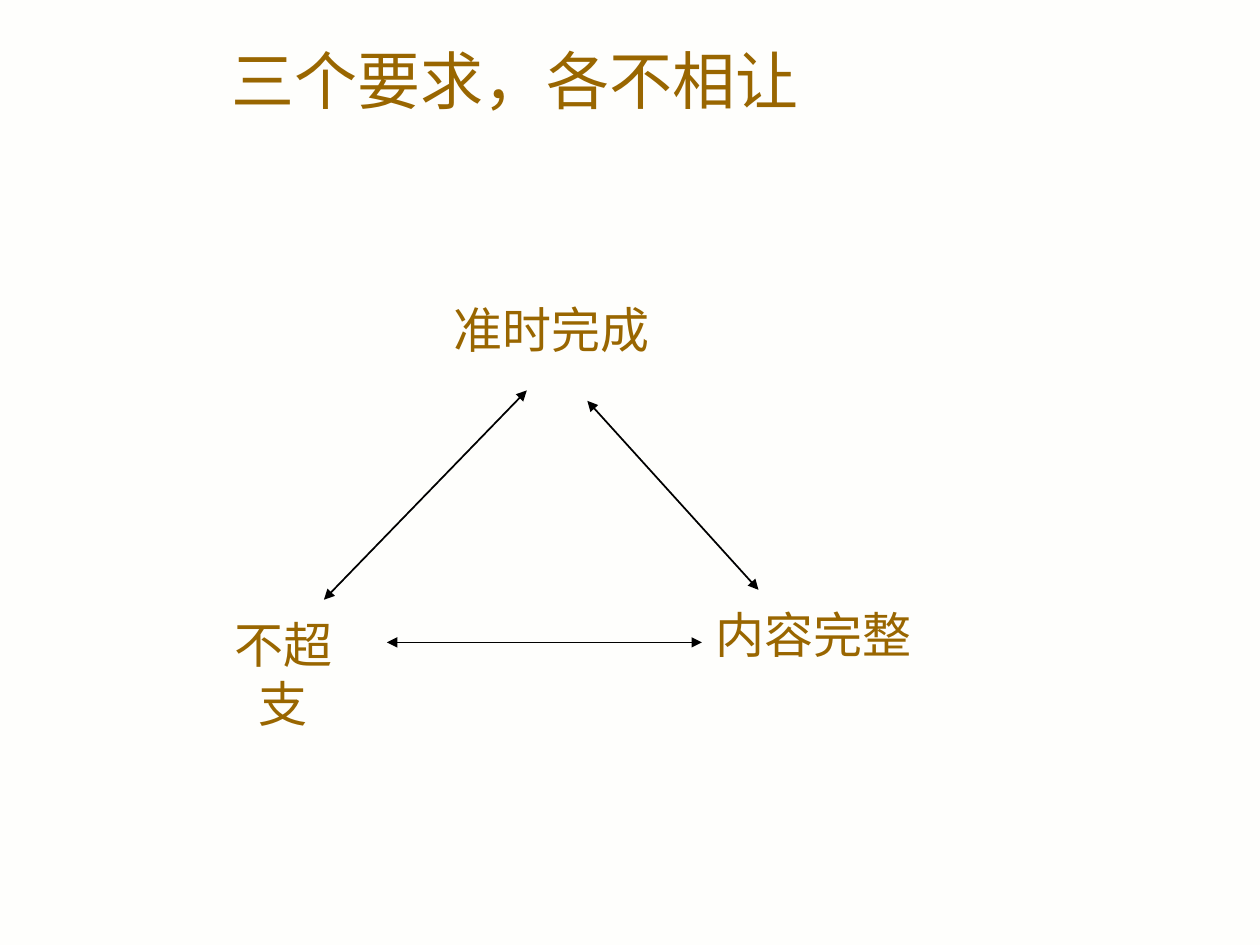
from lxml import etree
from pptx import Presentation
from pptx import util as u
from pptx.dml.color import RGBColor
from pptx.enum import shapes, text
from pptx.oxml.ns import qn


def paint(color_format, value):
    color_format.rgb = RGBColor.from_string(value)


def write(shape, words, size):
    frame = shape.text_frame
    frame.text = words
    para = frame.paragraphs[0]
    para.alignment = text.PP_ALIGN.CENTER
    span = para.runs[0]
    span.font.size = u.Pt(size)
    span.font.name = "Times New Roman"
    paint(span.font.color, "996600")


deck = Presentation()
deck.slide_width, deck.slide_height = u.Cm(25.4), u.Cm(19.05)
page = deck.slides.add_slide(deck.slide_layouts[5])
page.background.fill.solid()
paint(page.background.fill.fore_color, "FEFEFC")

# Title
title = page.shapes.title
title.left, title.top = u.Cm(0), u.Cm(0)
title.width, title.height = u.Cm(20.75), u.Cm(3.18)
write(title, "三个要求，各不相让", 36)
title.text_frame.vertical_anchor = text.MSO_ANCHOR.MIDDLE

# Three requirements at the corners of the triangle
requirements = [
    ("准时完成", 8.89, 5.92, 4.45),
    ("不超支", 3.99, 12.27, 3.45),
    ("内容完整", 14.17, 12.07, 4.45),
]
for words, left, top, width in requirements:
    box = page.shapes.add_textbox(u.Cm(left), u.Cm(top), u.Cm(width), u.Cm(1.45))
    write(box, words, 28)
    box.text_frame.word_wrap = False
    box.text_frame.auto_size = text.MSO_AUTO_SIZE.SHAPE_TO_FIT_TEXT

# Double-headed arrows between the requirements
arrows = [
    (6.53, 12.09, 10.62, 7.87),
    (7.8, 12.95, 14.15, 12.95),
    (15.29, 11.89, 11.84, 8.08),
]
for ends in arrows:
    arrow = page.shapes.add_connector(
        shapes.MSO_CONNECTOR.STRAIGHT, *[u.Cm(end) for end in ends]
    )
    arrow.line.width = u.Pt(1)
    paint(arrow.line.color, "000000")
    line = arrow.line._get_or_add_ln()
    for tag in ("a:headEnd", "a:tailEnd"):
        etree.SubElement(line, qn(tag), type="triangle")
    etree.SubElement(arrow._element.spPr, qn("a:effectLst"))

deck.save("out.pptx")
